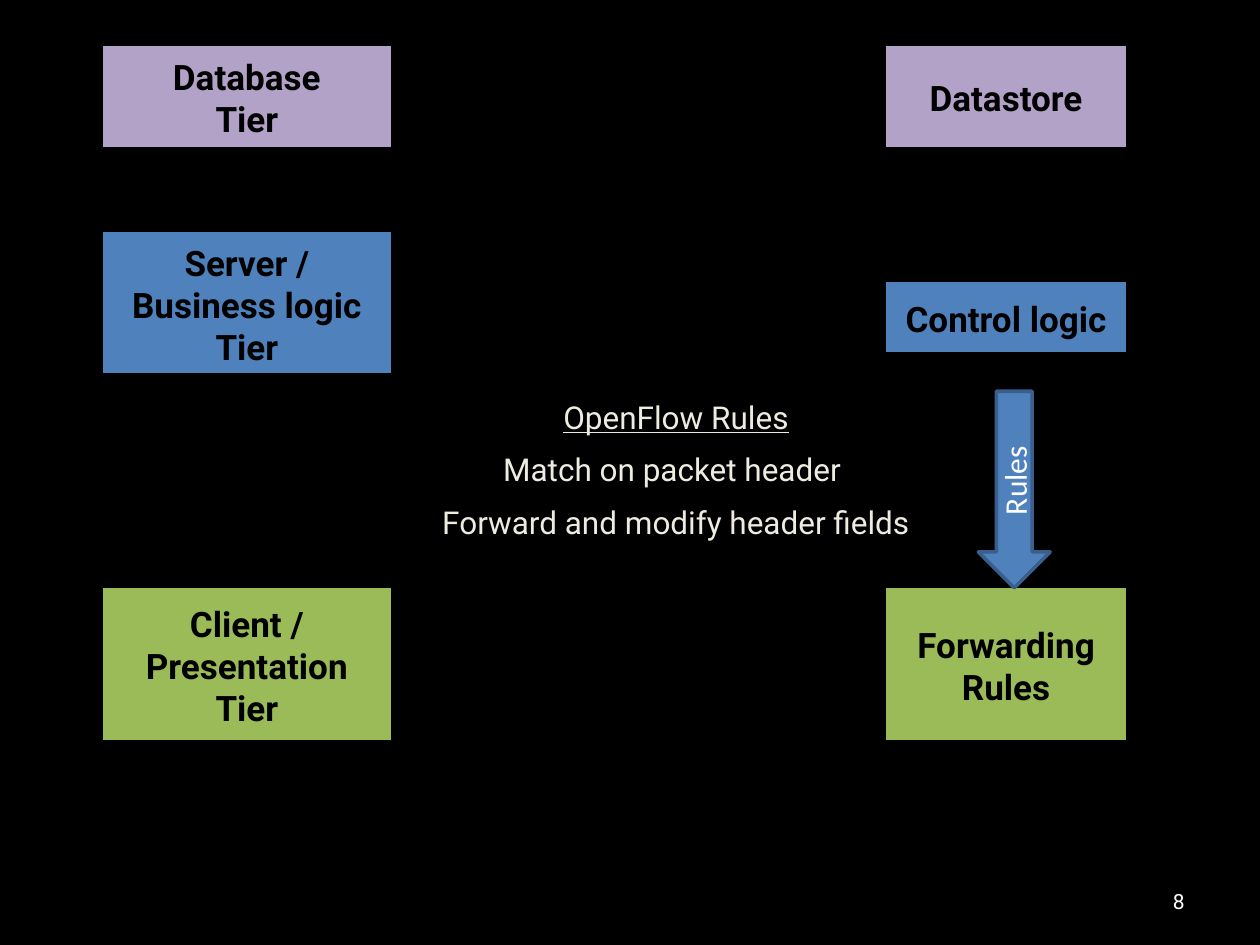
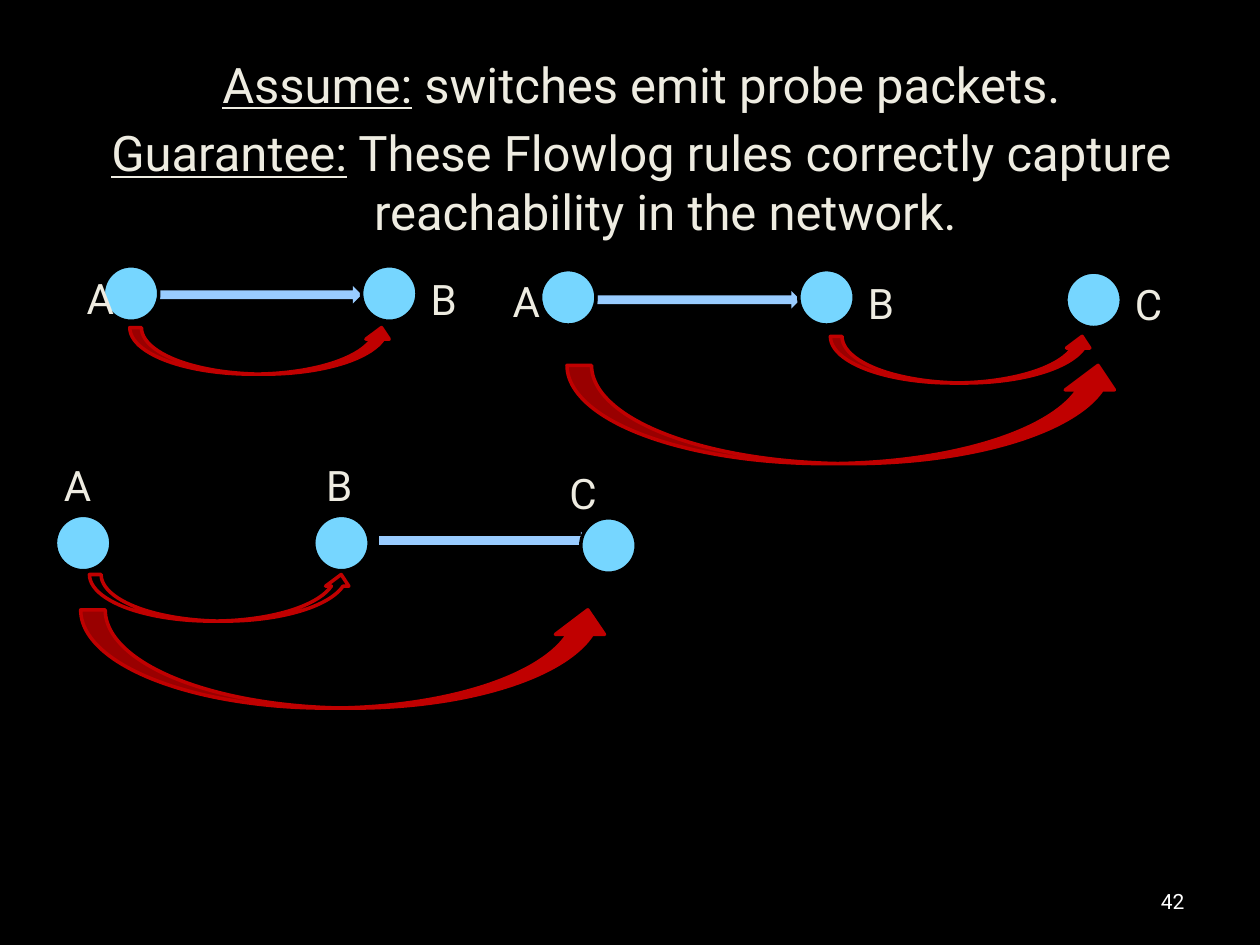
from pptx import Presentation
from pptx.dml.color import RGBColor
from pptx.enum.shapes import MSO_SHAPE
from pptx.enum.text import MSO_ANCHOR, MSO_AUTO_SIZE, PP_ALIGN
from pptx.util import Pt

RECT, OVAL = MSO_SHAPE.RECTANGLE, MSO_SHAPE.OVAL
LEFT_ARROW, RIGHT_ARROW = MSO_SHAPE.LEFT_ARROW, MSO_SHAPE.RIGHT_ARROW
ARC = MSO_SHAPE.CURVED_UP_ARROW
LEFT, MID, RIGHT = PP_ALIGN.LEFT, PP_ALIGN.CENTER, PP_ALIGN.RIGHT
TOP, CENTER = MSO_ANCHOR.TOP, MSO_ANCHOR.MIDDLE
NO_FIT = MSO_AUTO_SIZE.NONE

# Shared style: 100 px to the inch
SCALE = 9144
FONT = "Roboto"
BLACK, WHITE, CREAM = "000000", "FFFFFF", "EEECE1"
BLUE, EDGE, LILAC, GREEN = "4F81BD", "3A5F8C", "B3A2C7", "9BBB59"
SKY, PALE, RED = "76D6FF", "99CCFF", "C00000"
ONLY_TITLE, BLANK = 5, 6
NODE = 44


def px(n):
    return int(n * SCALE)


def rgb(code):
    return RGBColor.from_string(code)


class Deck:
    def __init__(self):
        self.prs = Presentation()
        self.prs.slide_width, self.prs.slide_height = px(1000), px(750)

    def page(self, layout, number):
        """Start a black slide with its number in the corner."""
        self.slide = self.prs.slides.add_slide(self.prs.slide_layouts[layout])
        fill = self.slide.background.fill
        fill.solid()
        fill.fore_color.rgb = rgb(BLACK)
        self.home = self.slide.shapes
        self.text(717, 695, 233, 40, number, 12, WHITE, RIGHT, CENTER)

    def group(self):
        self.home = self.slide.shapes.add_group_shape().shapes

    def leave(self):
        self.home = self.slide.shapes

    def style(self, para, size, color, align, bold=False, font=FONT):
        para.alignment = align
        for run in para.runs:
            run.font.name, run.font.size = font, Pt(size)
            run.font.bold = bold
            run.font.color.rgb = rgb(color)

    def shape(self, kind, x, y, w, h, fill=None, line=None, width=2):
        item = self.home.add_shape(kind, px(x), px(y), px(w), px(h))
        item.shadow.inherit = False
        if fill:
            item.fill.solid()
            item.fill.fore_color.rgb = rgb(fill)
        else:
            item.fill.background()
        if line:
            item.line.color.rgb = rgb(line)
            item.line.width = Pt(width)
        else:
            item.line.fill.background()
        return item

    def text(self, x, y, w, h, words, size, color, align=LEFT, anchor=TOP, wrap=True):
        item = self.home.add_textbox(px(x), px(y), px(w), px(h))
        frame = item.text_frame
        frame.text, frame.word_wrap = words, wrap
        frame.vertical_anchor = anchor
        for para in frame.paragraphs:
            self.style(para, size, color, align)
        return frame

    def box(self, x, y, w, h, words, fill):
        """Tier box with bold black text."""
        frame = self.shape(RECT, x, y, w, h, fill, BLACK, 0.75).text_frame
        frame.text, frame.word_wrap = words, False
        frame.vertical_anchor = CENTER
        frame.margin_left = frame.margin_right = px(9)
        frame.margin_top, frame.margin_bottom = px(6), px(4)
        for para in frame.paragraphs:
            self.style(para, 20, BLACK, MID, True)

    def title(self, x, y, w, h, rows):
        """Title whose rows each open with an underlined lead."""
        item = self.slide.shapes.title
        item.left, item.top, item.width, item.height = px(x), px(y), px(w), px(h)
        frame = item.text_frame
        frame.text = "\n".join(lead for lead, rest in rows)
        frame.word_wrap, frame.auto_size = True, NO_FIT
        frame.vertical_anchor = TOP
        for para, (lead, rest) in zip(frame.paragraphs, rows):
            para.runs[0].font.underline = True
            tail = para.add_run()
            tail.text, tail.font.underline = rest, False
            self.style(para, 28, CREAM, MID)
            para.space_before = Pt(5.6)
            props = para._p.get_or_add_pPr()
            props.set("marL", str(px(38)))
            props.set("indent", str(px(-38)))

    def node(self, x, y):
        self.shape(OVAL, x, y, NODE, NODE, SKY, BLACK)

    def label(self, x, y, name):
        self.text(x, y, 43, 50, name, 24, CREAM, wrap=False)

    def arc(self, x, y, w=209, h=37, fill=RED):
        self.shape(ARC, x, y, w, h, fill, RED)

    def net(self, x, y, link, arc, tags, fill=RED):
        """Row of nodes; link, arc and tags are offsets from the first node."""
        self.group()
        dx, dy, w = link
        self.shape(RIGHT_ARROW, x + dx, y + dy, w, 14, PALE)
        spots = [(x, y), (x + 205, y), (x + 417, y + 2)]
        for (left, top), (name, a, b) in zip(spots, tags):
            self.node(left, top)
            self.label(left + a, top + b, name)
        self.arc(x + arc[0], y + arc[1], fill=fill)
        self.leave()


def tiers(deck):
    deck.page(BLANK, "8")

    # Tiers on the left, their network match on the right
    old, new = (81, 230), (703, 191)
    for (x, w), y, h, words, fill in [
        (old, 36, 81, "Database\nTier", LILAC),
        (old, 184, 113, "Server /\nBusiness logic\nTier", BLUE),
        (old, 466, 122, "Client /\nPresentation\nTier", GREEN),
        (new, 36, 81, "Datastore", LILAC),
        (new, 223, 57, "Control logic", BLUE),
        (new, 466, 122, "Forwarding\nRules", GREEN),
    ]:
        deck.box(x, y, w, h, words, fill)

    # What the rules do
    words = "OpenFlow Rules\nMatch on packet header \nForward and modify header fields"
    frame = deck.text(334, 296, 405, 153, words, 18, CREAM, MID, CENTER)
    frame.margin_left = frame.margin_right = px(4)
    frame.margin_top = frame.margin_bottom = px(4)
    for para in frame.paragraphs:
        para.space_before = Pt(8.4)
    frame.paragraphs[0].runs[0].font.underline = True

    # Arrow from control logic down to the rules
    arrow = deck.shape(LEFT_ARROW, 727, 360, 156, 57, BLUE, EDGE)
    arrow.rotation = 270
    arrow.text_frame.text = "Rules"
    arrow.text_frame.vertical_anchor = CENTER
    deck.style(arrow.text_frame.paragraphs[0], 18, WHITE, MID, font="Calibri")


def probes(deck):
    deck.page(ONLY_TITLE, "42")
    deck.title(59, 38, 900, 75, [
        ("Assume:", " switches emit probe packets."),
        ("Guarantee:", " These Flowlog rules correctly capture reachability in the network."),
    ])

    # One hop
    deck.net(82, 211, (44, 16, 161), (21, 49), [("A", -23, 0), ("B", 45, 1)])

    # First hop linked, second hop known
    deck.net(429, 214, (45, 17, 161), (230, 53),
             [("A", -32, 0), ("B", 45, 1), ("C", 45, 0)])
    deck.arc(450, 290, 441, 78)

    # First hop known, second hop linked
    deck.arc(64, 484, 422, 78)
    deck.net(44, 409, (257, 13, 167), (27, 47),
             [("A", -3, -49), ("B", 0, -49), ("C", -19, -45)], None)


def main():
    deck = Deck()
    tiers(deck)
    probes(deck)
    deck.prs.save("out.pptx")


if __name__ == "__main__":
    main()
